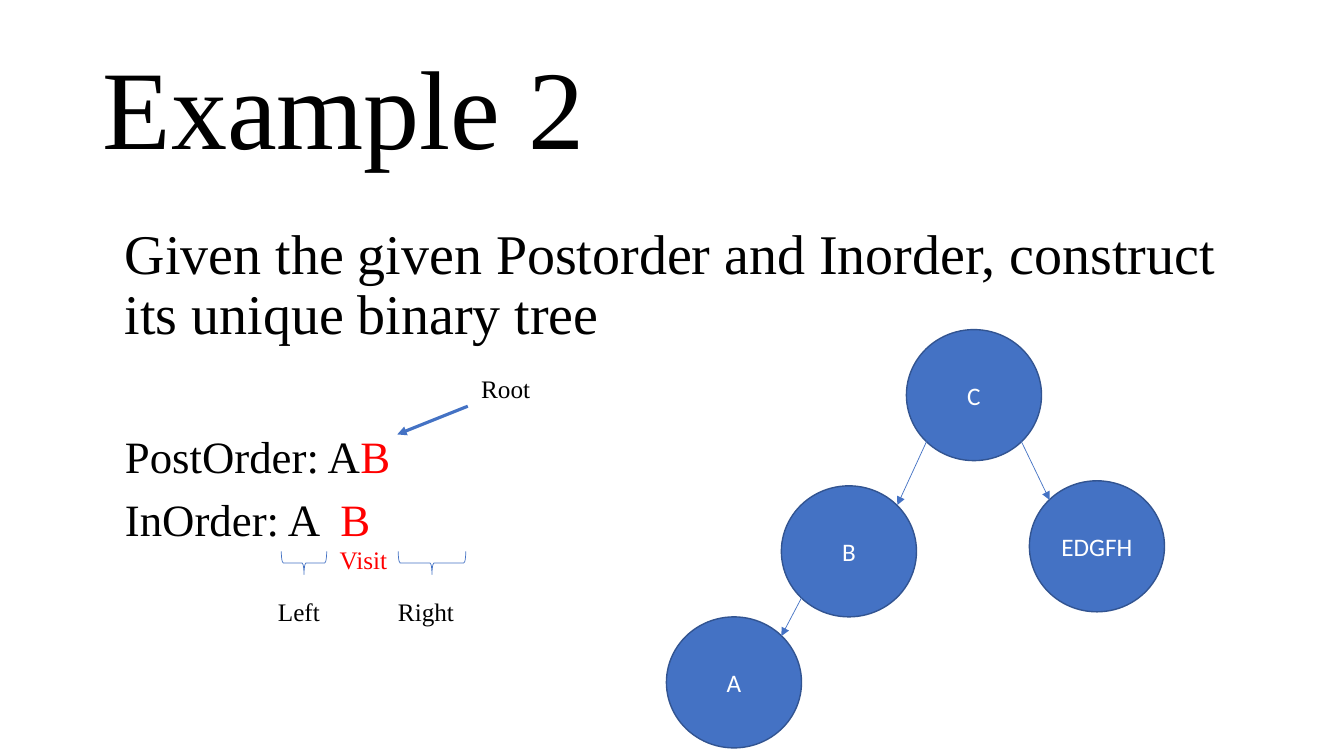
from dataclasses import dataclass

from lxml import etree
from pptx import Presentation
from pptx.dml.color import RGBColor
from pptx.enum import shapes, text
from pptx.oxml import ns
from pptx.util import Inches, Pt

HUES = {"black": "000000", "white": "FFFFFF", "red": "FF0000",
        "blue": "4472C4", "edge": "325491"}
SERIF = "Times New Roman"
KINDS = shapes.MSO_SHAPE


@dataclass
class Tag:
    word: str
    x: float
    y: float
    wide: float = 0.79
    hue: str = "black"


@dataclass
class Node:
    word: str
    x: float
    y: float


@dataclass
class Arrow:
    start: tuple[float, float]
    end: tuple[float, float]
    width: float = 0.5


@dataclass
class Brace:
    x: float
    y: float
    high: float


@dataclass
class Row:
    words: list[tuple[str, str]]
    size: int
    gap: int


TAGS = [Tag("Root", 4.62, 3.6), Tag("Left", 2.63, 5.81, 0.67),
        Tag("Right", 3.83, 5.81)]
VISIT = Tag("Visit", 3.21, 5.29, hue="red")
NODES = [Node("C", 8.99, 3.27), Node("EDGFH", 10.21, 4.77),
         Node("B", 7.75, 4.82), Node("A", 6.61, 6.12)]
ARROWS = [Arrow((4.64, 4.03), (3.94, 4.31), 2.25),
          Arrow((9.19, 4.38), (8.9, 5.01)),
          Arrow((10.13, 4.38), (10.41, 4.96)),
          Arrow((7.95, 5.93), (7.75, 6.31))]
BRACES = [Brace(4.17, 5.25, 0.67), Brace(2.9, 5.36, 0.45)]
TASK = "Given the given Postorder and Inorder, construct its unique binary tree"
ROWS = [Row([(TASK, "black")], 40, 0),
        Row([("PostOrder: A", "black"), ("B", "red")], 32, 63),
        Row([("InOrder: A  ", "black"), ("B", "red")], 32, 10)]


def tint(hue: str) -> RGBColor:
    """Return the named colour."""
    return RGBColor.from_string(HUES[hue])


def style(run, size: float, hue: str, face: str = SERIF) -> None:
    """Set the font of a run."""
    run.font.name, run.font.size = face, Pt(size)
    run.font.color.rgb = tint(hue)


def place(shape, x: float, y: float, wide: float, high: float) -> None:
    """Move and size a shape."""
    shape.left, shape.top = Inches(x), Inches(y)
    shape.width, shape.height = Inches(wide), Inches(high)


def block(slide, kind, box: tuple, word: str, fill: str, line: str,
          hue: str, face: str) -> None:
    """Draw a filled shape with a centred word."""
    shape = slide.shapes.add_shape(kind, *map(Inches, box))
    shape.shadow.inherit = False
    shape.fill.solid()
    shape.fill.fore_color.rgb = tint(fill)
    shape.line.color.rgb = tint(line)
    shape.line.width = Pt(1)
    frame = shape.text_frame
    frame.text = word
    frame.vertical_anchor = text.MSO_ANCHOR.MIDDLE
    para = frame.paragraphs[0]
    para.alignment = text.PP_ALIGN.CENTER
    style(para.runs[0], 18, hue, face)


def label(slide, tag: Tag) -> None:
    """Draw a caption on white."""
    block(slide, KINDS.RECTANGLE, (tag.x, tag.y, tag.wide, 0.51), tag.word,
          "white", "white", tag.hue, SERIF)


def circle(slide, node: Node) -> None:
    """Draw a tree node."""
    block(slide, KINDS.OVAL, (node.x, node.y, 1.34, 1.3), node.word,
          "blue", "edge", "white", "Calibri")


def point(slide, arrow: Arrow) -> None:
    """Draw a line with an arrowhead at its end."""
    line = slide.shapes.add_connector(
        shapes.MSO_CONNECTOR.STRAIGHT, *map(Inches, arrow.start + arrow.end))
    line.line.color.rgb = tint("blue")
    line.line.width = Pt(arrow.width)
    etree.SubElement(line.get_or_add_ln(), ns.qn("a:tailEnd"),
                     type="triangle")
    etree.SubElement(line.element.spPr, ns.qn("a:effectLst"))


def bracket(slide, brace: Brace) -> None:
    """Draw a brace that points down."""
    shape = slide.shapes.add_shape(
        KINDS.LEFT_BRACE, *map(Inches, (brace.x, brace.y, 0.23, brace.high)))
    shape.rotation = 270
    shape.shadow.inherit = False
    shape.fill.background()
    shape.line.color.rgb = tint("blue")
    shape.line.width = Pt(0.5)


def head(slide, word: str) -> None:
    """Fill the title."""
    title = slide.shapes.title
    place(title, 0.92, 0.4, 11.5, 1.45)
    frame = title.text_frame
    frame.text = word
    frame.auto_size = text.MSO_AUTO_SIZE.NONE
    frame.vertical_anchor = text.MSO_ANCHOR.MIDDLE
    para = frame.paragraphs[0]
    para.alignment = text.PP_ALIGN.LEFT
    para.line_spacing = 0.9
    style(para.runs[0], 80, "black")


def body(slide, rows: list[Row]) -> None:
    """Write the task and the two orders."""
    box = slide.shapes.add_textbox(*map(Inches, (1.14, 2.19, 11.5, 4.76)))
    frame = box.text_frame
    frame.word_wrap = True
    for i, row in enumerate(rows):
        para = frame.add_paragraph() if i else frame.paragraphs[0]
        para.line_spacing = 0.9
        para.space_before = Pt(row.gap)
        for word, hue in row.words:
            run = para.add_run()
            run.text = word
            style(run, row.size, hue)


def main() -> None:
    """Build and save the slide."""
    deck = Presentation()
    deck.slide_width, deck.slide_height = Inches(13.33), Inches(7.5)
    slide = deck.slides.add_slide(deck.slide_layouts[5])
    head(slide, "Example 2")
    label(slide, VISIT)
    body(slide, ROWS)
    for draw, items in ((label, TAGS), (bracket, BRACES), (circle, NODES),
                        (point, ARROWS)):
        for item in items:
            draw(slide, item)
    deck.save("out.pptx")


if __name__ == "__main__":
    main()
